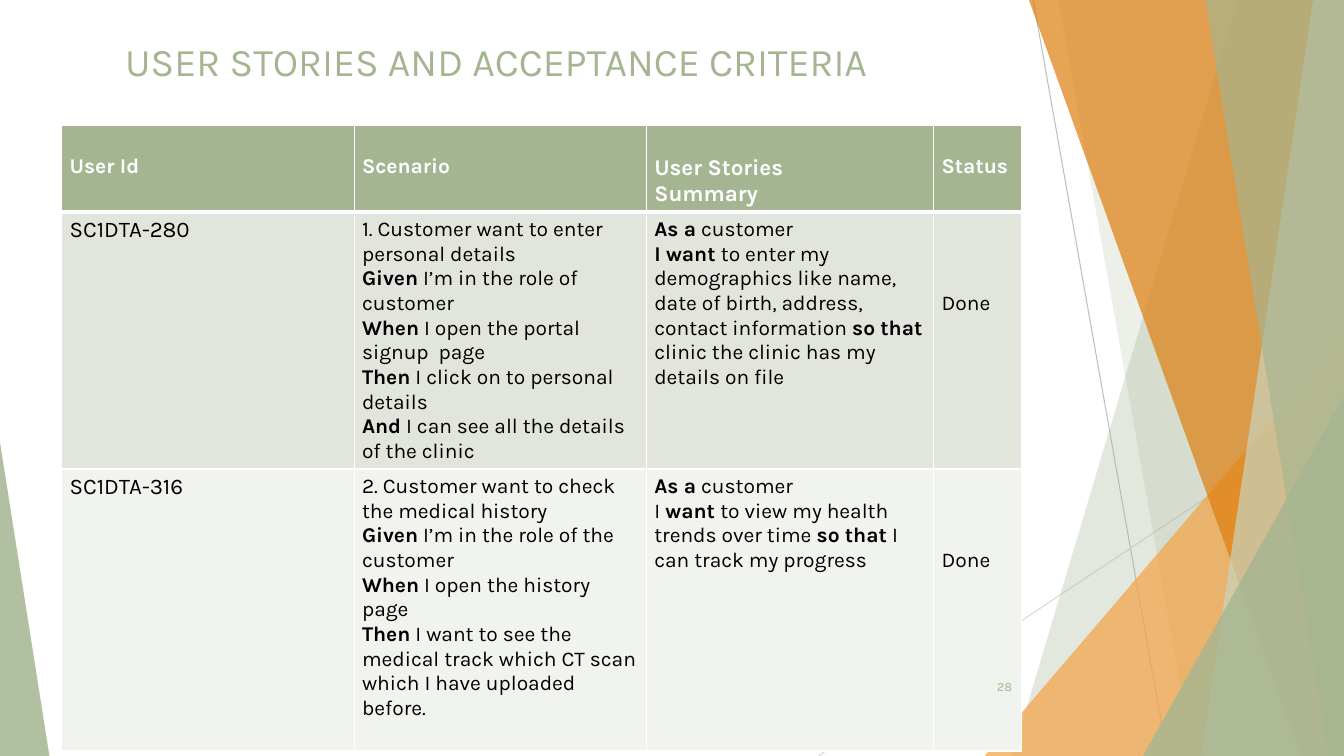
from lxml import etree
from pptx import Presentation
from pptx.dml.color import RGBColor
from pptx.enum.shapes import MSO_CONNECTOR, MSO_SHAPE
from pptx.enum.text import MSO_ANCHOR, PP_ALIGN
from pptx.oxml import parse_xml
from pptx.oxml.ns import nsdecls, qn
from pptx.util import Pt

STRAIGHT = MSO_CONNECTOR.STRAIGHT
TRIANGLE = MSO_SHAPE.ISOSCELES_TRIANGLE
TOP, MIDDLE = MSO_ANCHOR.TOP, MSO_ANCHOR.MIDDLE
LEFT, RIGHT = PP_ALIGN.LEFT, PP_ALIGN.RIGHT

WIDTH, HEIGHT = 960, 540
FONT = "Karla"
COLORS = {
    "sage": "A5B592", "pale sage": "C9D3BE", "orange": "F3A447",
    "dark orange": "DD7E0E", "row": "E1E5DC", "light row": "F0F3EE",
    "grey": "BFBFBF", "light grey": "D9D9D9", "white": "FFFFFF", "black": "000000",
}
LINE = 17.6  # height of one 15 pt line
INSET = 3.6  # top and bottom margin of a cell


def write(para, text, size=15, color="black", bold=False, align=LEFT):
    """Fill a paragraph; parts between asterisks switch boldness."""
    para.alignment = align
    for index, part in enumerate(text.split("*")):
        if part:
            span = para.add_run()
            span.text = part
            span.font.name = FONT
            span.font.size = Pt(size)
            span.font.bold = bold != (index % 2 == 1)
            span.font.color.rgb = RGBColor.from_string(COLORS[color])


class Page:
    def __init__(self, deck):
        self.slide = deck.slides.add_slide(deck.slide_layouts[5])
        self.shapes = self.slide.shapes

    def line(self, start, end, color):
        line = self.shapes.add_connector(STRAIGHT, *map(Pt, start + end))
        line.line.color.rgb = RGBColor.from_string(COLORS[color])
        line.line.width = Pt(0.75)
        etree.SubElement(line._element.spPr, qn("a:effectLst"))

    def paint(self, shape, color, opacity):
        shape.shadow.inherit = False
        shape.line.fill.background()
        shape.fill.solid()
        shape.fill.fore_color.rgb = RGBColor.from_string(COLORS[color])
        tint = shape._element.spPr.find(qn("a:solidFill"))[0]
        etree.SubElement(tint, qn("a:alpha"), val=str(opacity * 1000))

    def band(self, points, color, opacity):
        corners = [(Pt(x), Pt(y)) for x, y in points]
        outline = self.shapes.build_freeform(*corners[0])
        outline.add_line_segments(corners[1:])
        self.paint(outline.convert_to_shape(), color, opacity)

    def triangle(self, left, top, width, peak, color, opacity):
        shape = self.shapes.add_shape(TRIANGLE, Pt(left), Pt(top), Pt(width), Pt(HEIGHT - top))
        shape.adjustments[0] = peak
        self.paint(shape, color, opacity)

    def place(self, box, left, top, width, height, anchor):
        box.left, box.top, box.width, box.height = map(Pt, (left, top, width, height))
        box.text_frame.word_wrap = True
        box.text_frame.vertical_anchor = anchor
        return box.text_frame.paragraphs[0]

    def title(self, text, left, top, width, height):
        # Bring the title in front of the background
        title = self.shapes.title
        self.shapes._spTree.append(title._element)
        write(self.place(title, left, top, width, height, TOP), text, size=28, color="sage")

    def number(self, text, left, top, width, height):
        box = self.shapes.add_textbox(0, 0, 0, 0)
        write(self.place(box, left, top, width, height, MIDDLE), text,
              size=9, color="sage", align=RIGHT)

    def table(self, left, top, columns, heights):
        table = self.shapes.add_table(len(heights), len(columns), Pt(left), Pt(top),
                                      Pt(sum(columns)), Pt(sum(heights))).table
        for column, width in zip(table.columns, columns):
            column.width = Pt(width)
        for row, height in zip(table.rows, heights):
            row.height = Pt(height)
        return table

    def cell(self, cell, lines, fill, blank_lines=0, edges=(1, 1), **style):
        borders = {"L": 1, "R": 1, "T": edges[0], "B": edges[1]}
        for side, width in borders.items():
            cell._tc.get_or_add_tcPr().append(parse_xml(
                f'<a:ln{side} {nsdecls("a")} w="{Pt(width)}"><a:solidFill>'
                f'<a:srgbClr val="{COLORS["white"]}"/></a:solidFill></a:ln{side}>'))
        cell.fill.solid()
        cell.fill.fore_color.rgb = RGBColor.from_string(COLORS[fill])
        cell.margin_left = cell.margin_right = Pt(5.6)
        cell.margin_top = Pt(INSET + blank_lines * LINE)
        cell.margin_bottom = Pt(INSET)
        frame = cell.text_frame
        for index, text in enumerate(lines):
            para = frame.add_paragraph() if index else frame.paragraphs[0]
            write(para, text, **style)


HEADINGS = [["User Id"], ["Scenario"], ["User Stories", "Summary"], ["Status"]]
STORIES = [
    ("SC1DTA-280",
     ["1. Customer want to enter personal details",
      "*Given* I’m in the role of customer",
      "*When* I open the portal signup  page",
      "*Then* I click on to personal details",
      "*And* I can see all the details of the clinic"],
     ["*As a* customer",
      "*I want *to enter my demographics like name, date of birth, address, "
      "contact information *so that *clinic the clinic has my details on file"]),
    ("SC1DTA-316",
     ["2. Customer want to check the medical history",
      "*Given* I’m in the role of the customer",
      "*When* I open the history page",
      "*Then* I want to see the medical track which CT scan which I have uploaded before."],
     ["*As a* customer",
      "I* want *to view my health trends over time *so that *I can track my progress"]),
]


def main():
    deck = Presentation()
    deck.slide_width, deck.slide_height = Pt(WIDTH), Pt(HEIGHT)
    page = Page(deck)

    # Background lines and facets
    page.line((738, 0), (833.8, HEIGHT), "grey")
    page.line((WIDTH, 290), (584.6, HEIGHT), "light grey")
    bands = [  # top left, bottom left, colour, opacity
        (884, 723, "sage", 30), (756, 852, "sage", 20),
        (735, 929.5, "dark orange", 70), (938, 858, "pale sage", 70),
        (861, 949, "sage", 65),
    ]
    for index, (top_left, bottom_left, color, opacity) in enumerate(bands):
        if index == 2:
            page.triangle(703.4, 239.8, 256.6, 1, "orange", 72)
        page.band([(top_left, 0), (WIDTH, 0), (WIDTH, HEIGHT), (bottom_left, HEIGHT)],
                  color, opacity)
    page.triangle(816.5, 283, 143.5, 1, "sage", 80)
    page.triangle(0, 316, 35.3, 0, "sage", 85)

    # Title
    page.title("USER STORIES AND ACCEPTANCE CRITERIA", 82.2, 23, 643, 102)

    # Stories table
    table = page.table(44.2, 89.3, [208.8, 208.8, 205.2, 62.8], [59.4, 182.2, 201.4])
    for column, lines in enumerate(HEADINGS):
        page.cell(table.cell(0, column), lines, "sage", blank_lines=1, edges=(1, 3),
                  color="white", bold=True, size=16 if len(lines) > 1 else 15)
    for row, (story_id, scenario, summary) in enumerate(STORIES, 1):
        fill = "row" if row % 2 else "light row"
        edges = (3, 1) if row == 1 else (1, 1)
        page.cell(table.cell(row, 0), [story_id], fill, edges=edges, size=16)
        page.cell(table.cell(row, 1), scenario, fill, edges=edges)
        page.cell(table.cell(row, 2), summary, fill, edges=edges)
        page.cell(table.cell(row, 3), ["Done"], fill, blank_lines=3, edges=edges)

    # Page number
    page.number("28", 676, 476, 54, 28.8)
    deck.save("out.pptx")


if __name__ == "__main__":
    main()
